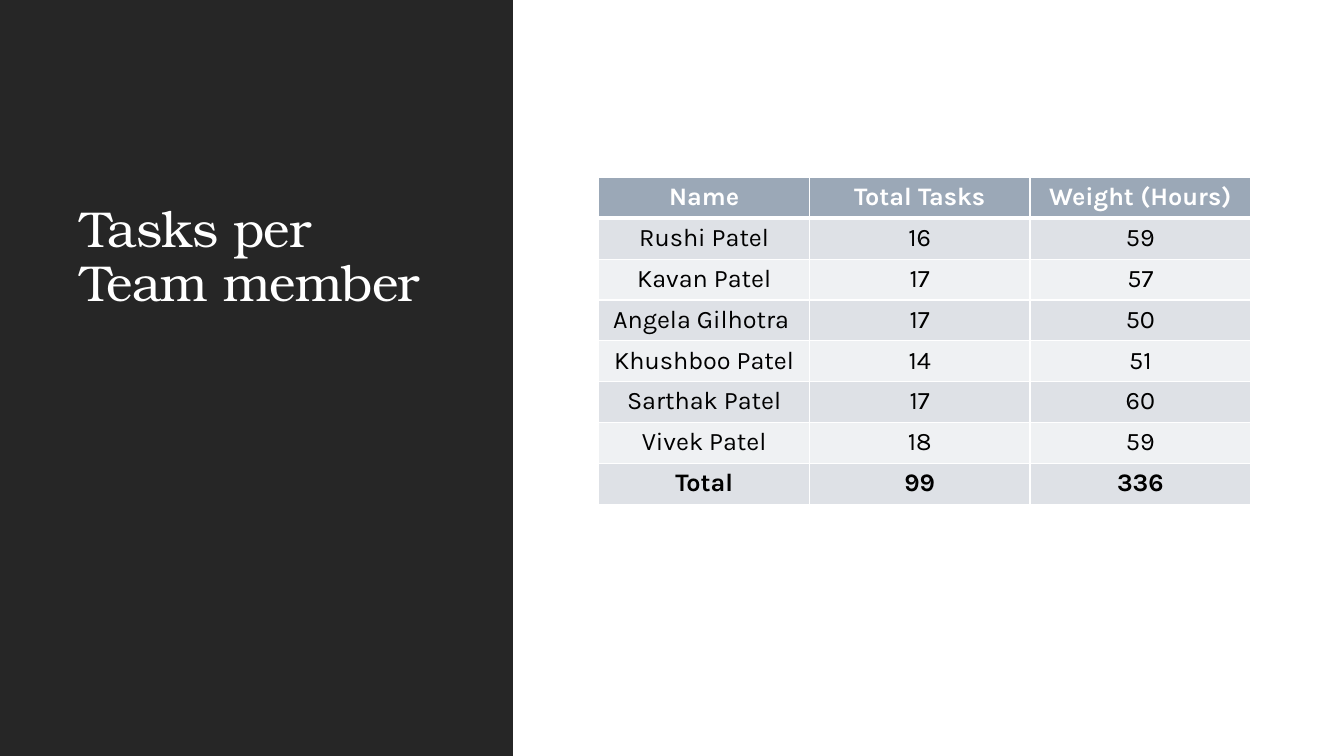
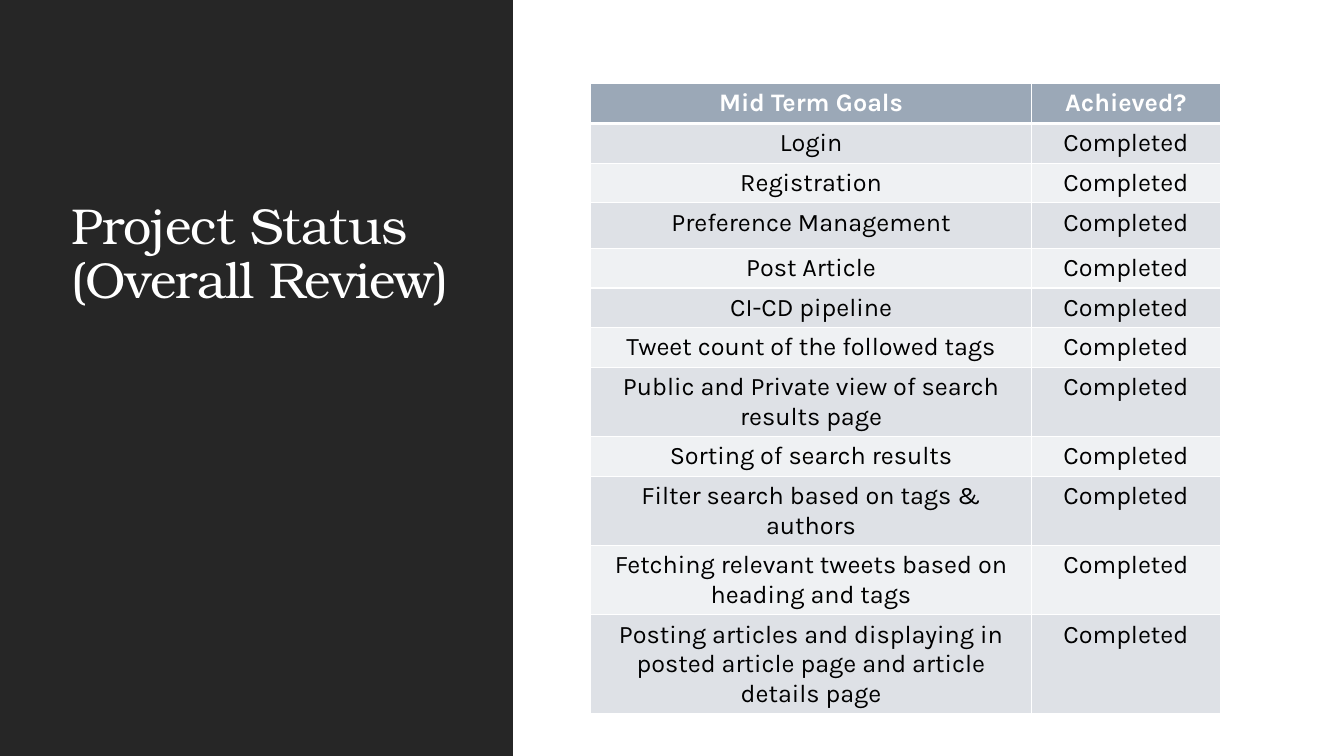
from dataclasses import dataclass
from typing import Optional

from lxml import etree
from pptx import Presentation
from pptx.dml.color import RGBColor
from pptx.enum.shapes import MSO_SHAPE
from pptx.enum.text import MSO_ANCHOR, MSO_AUTO_SIZE, PP_ALIGN
from pptx.oxml.ns import qn
from pptx.slide import Slide
from pptx.table import _Cell
from pptx.text.text import TextFrame
from pptx.util import Cm, Pt

RECTANGLE = MSO_SHAPE.RECTANGLE
BOTTOM = MSO_ANCHOR.BOTTOM
NO_AUTOFIT = MSO_AUTO_SIZE.NONE
LEFT, CENTER = PP_ALIGN.LEFT, PP_ALIGN.CENTER

WHITE = RGBColor(0xFF, 0xFF, 0xFF)
BLACK = RGBColor(0x00, 0x00, 0x00)
CHARCOAL = RGBColor(0x26, 0x26, 0x26)
SLATE = RGBColor(0x9B, 0xA8, 0xB7)
STRIPES = (RGBColor(0xEF, 0xF1, 0xF3), RGBColor(0xDE, 0xE1, 0xE6))

TITLE_FONT = "TeX Gyre Bonum"
BODY_FONT = "Karla"

SLIDE_W, SLIDE_H = Cm(33.87), Cm(19.05)
BAND_W = Cm(12.93)
TITLE_H = Cm(5.82)
TITLE_ONLY = 5


@dataclass(frozen=True)
class TitleBox:
    text: str
    left: float
    top: float
    width: float


@dataclass(frozen=True)
class TableBox:
    left: float
    top: float
    col_widths: tuple[float, ...]
    row_heights: tuple[float, ...]
    rows: tuple[tuple[str, ...], ...]
    has_total: bool = False


@dataclass(frozen=True)
class Page:
    title: TitleBox
    table: TableBox


TASKS = (
    ("Name", "Total Tasks", "Weight (Hours)"),
    ("Rushi Patel", "16", "59"),
    ("Kavan Patel", "17", "57"),
    ("Angela Gilhotra ", "17", "50"),
    ("Khushboo Patel", "14", "51"),
    ("Sarthak Patel", "17", "60"),
    ("Vivek Patel", "18", "59"),
    ("Total", "99", "336"),
)

GOALS = (
    "Login",
    "Registration",
    "Preference Management",
    "Post Article",
    "CI-CD pipeline",
    "Tweet count of the followed tags",
    "Public and Private view of search results page",
    "Sorting of search results",
    "Filter search based on tags & authors",
    "Fetching relevant tweets based on heading and tags",
    "Posting articles and displaying in posted article page and article details page",
)
STATUS = (("Mid Term Goals", "Achieved?"), *((goal, "Completed") for goal in GOALS))

PAGES = (
    Page(
        TitleBox("Tasks per Team member", 1.78, 2.18, 9.78),
        TableBox(15.09, 4.47, (5.31, 5.56, 5.56), (1.03,) * len(TASKS), TASKS, has_total=True),
    ),
    Page(
        TitleBox("Project Status (Overall Review)", 1.55, 2.11, 10.95),
        TableBox(14.88, 2.11, (11.12, 4.75), (0.69,) * 3 + (1.15,) + (0.69,) * 8, STATUS),
    ),
)


def write(tf: TextFrame, text: str, *, font: str, size: float, color: RGBColor,
          bold: bool = False, align: PP_ALIGN = LEFT,
          line_spacing: Optional[float] = None, tracking: Optional[float] = None) -> None:
    p = tf.paragraphs[0]
    p.alignment = align
    if line_spacing is not None:
        p.line_spacing = line_spacing
    r = p.add_run()
    r.text = text
    r.font.name = font
    r.font.size = Pt(size)
    r.font.bold = bold
    r.font.color.rgb = color
    if tracking is not None:
        r._r.get_or_add_rPr().set("spc", str(round(tracking * 100)))


def add_band(s: Slide) -> None:
    sp = s.shapes.add_shape(RECTANGLE, 0, 0, BAND_W, SLIDE_H)
    sp.shadow.inherit = False
    sp.fill.solid()
    sp.fill.fore_color.rgb = CHARCOAL
    sp.line.fill.background()
    s.shapes.element.insert(2, sp.element)


def set_title(s: Slide, box: TitleBox) -> None:
    sp = s.shapes.title
    sp.left, sp.top = Cm(box.left), Cm(box.top)
    sp.width, sp.height = Cm(box.width), TITLE_H
    tf = sp.text_frame
    tf.word_wrap = True
    tf.auto_size = NO_AUTOFIT
    tf.vertical_anchor = BOTTOM
    write(tf, box.text, font=TITLE_FONT, size=36, color=WHITE,
          line_spacing=0.9, tracking=-0.5)


def set_borders(cell: _Cell, top: float, bottom: float) -> None:
    tc_pr = cell._tc.get_or_add_tcPr()
    for side, width in (("L", 1), ("R", 1), ("T", top), ("B", bottom)):
        ln = etree.SubElement(tc_pr, qn(f"a:ln{side}"), w=str(Pt(width)))
        fill = etree.SubElement(ln, qn("a:solidFill"))
        etree.SubElement(fill, qn("a:srgbClr"), val=str(WHITE))


def add_table(s: Slide, box: TableBox) -> None:
    rows = box.rows
    frame = s.shapes.add_table(len(rows), len(box.col_widths), Cm(box.left), Cm(box.top),
                               Cm(sum(box.col_widths)), Cm(sum(box.row_heights)))
    table = frame.table
    for column, width in zip(table.columns, box.col_widths):
        column.width = Cm(width)
    for i, (row, height) in enumerate(zip(table.rows, box.row_heights)):
        row.height = Cm(height)
        header = i == 0
        total = box.has_total and i == len(rows) - 1
        for cell, text in zip(row.cells, rows[i]):
            set_borders(cell, top=3 if i == 1 else 1, bottom=3 if header else 1)
            cell.fill.solid()
            cell.fill.fore_color.rgb = SLATE if header else STRIPES[i % 2]
            write(cell.text_frame, text, font=BODY_FONT, size=18, align=CENTER,
                  color=WHITE if header else BLACK, bold=header or total)


def main() -> None:
    prs = Presentation()
    prs.slide_width, prs.slide_height = SLIDE_W, SLIDE_H
    for page in PAGES:
        s = prs.slides.add_slide(prs.slide_layouts[TITLE_ONLY])
        add_band(s)
        set_title(s, page.title)
        add_table(s, page.table)
    prs.save("out.pptx")


if __name__ == "__main__":
    main()
